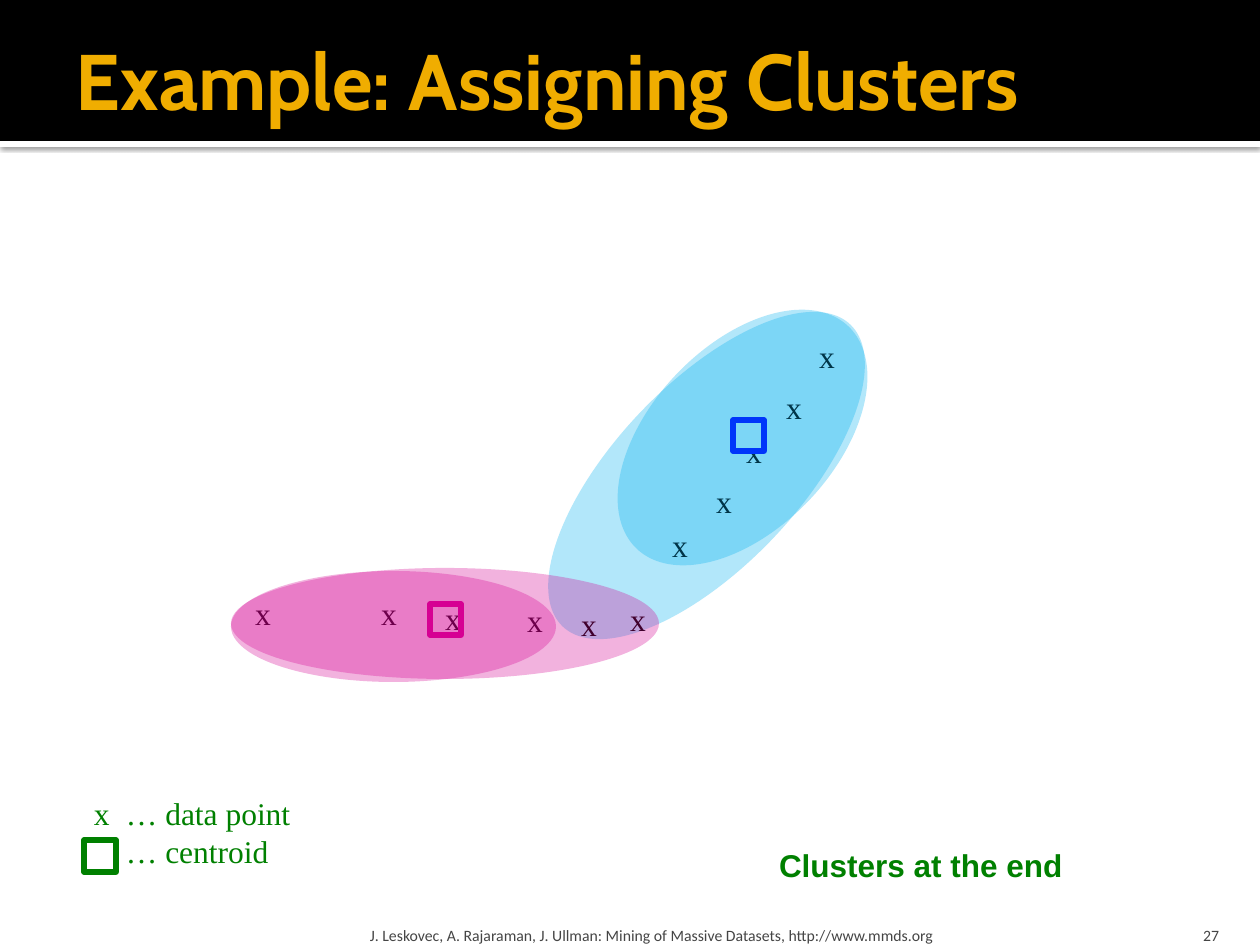
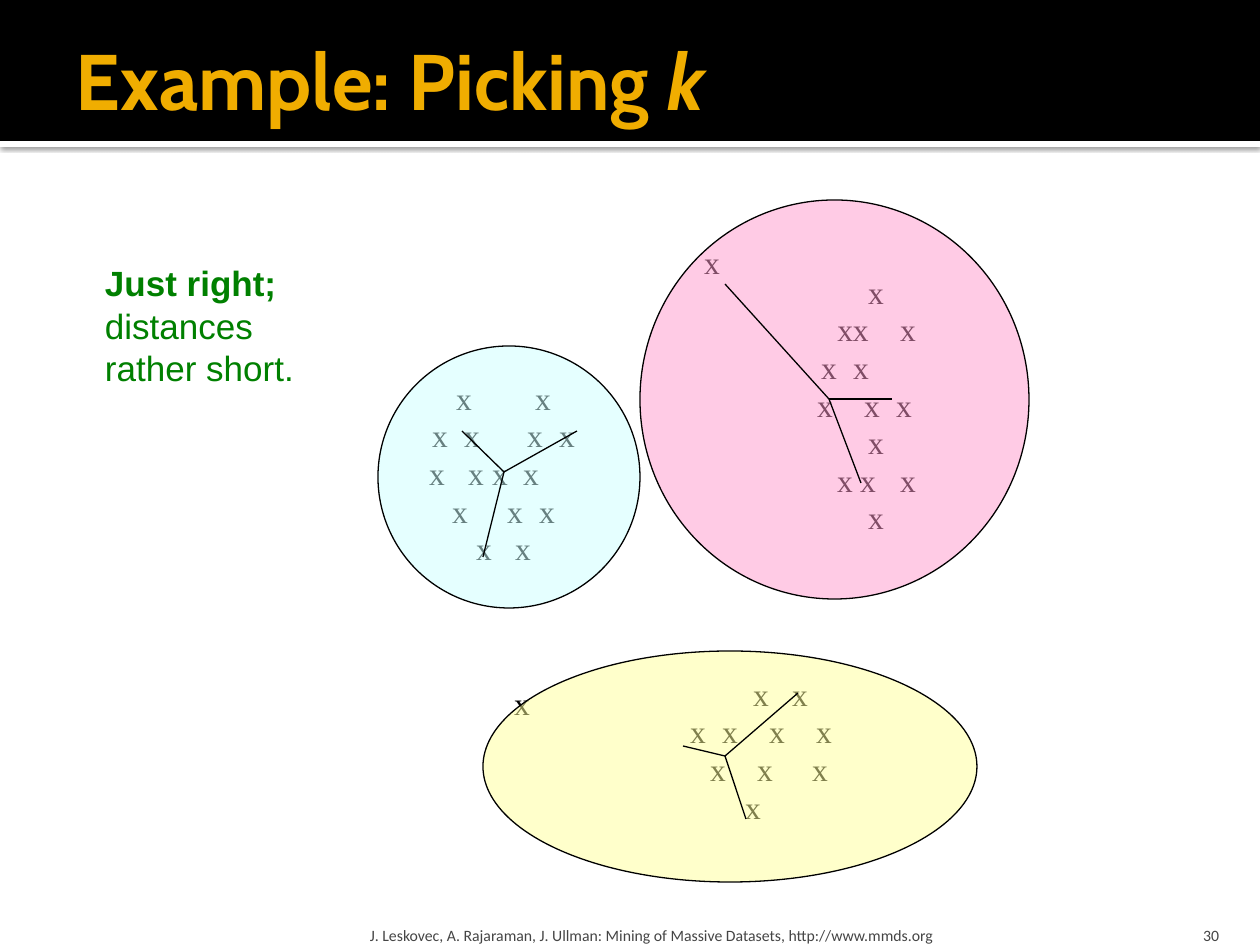
from collections import namedtuple

from lxml import etree
from pptx import Presentation
from pptx.dml.color import RGBColor
from pptx.enum.shapes import MSO_CONNECTOR as Connector, MSO_SHAPE as Preset
from pptx.enum.text import MSO_ANCHOR as Anchor, PP_ALIGN as Align
from pptx.oxml.ns import qn
from pptx.util import Pt

EMU_PER_PX = 914400 / 126
SLIDE_W, SLIDE_H = 1260, 945

BLACK, WHITE = "000000", "FFFFFF"
GOLD, GRAY, GREEN = "F0AD00", "454545", "008000"
BLUE, SKY, MAGENTA = "0000FF", "00B0F0", "D60093"
SERIF, SANS, TITLE_FONT, FOOTER_FONT = "Times New Roman", "Arial", "Cabin", "Calibri"

DEFAULT_INSETS = (13, 6, 13, 6)
NO_INSETS = (0, 0, 0, 0)
CITATION = "J. Leskovec, A. Rajaraman, J. Ullman: Mining of Massive Datasets, http://www.mmds.org"

Cluster = namedtuple("Cluster", "box color first_row rows outliers center spokes")


class Box(namedtuple("Box", "x y w h")):
    def inner(self, x, y, w, h):
        return Box(self.x + x, self.y + y, w, h)

    def emu(self):
        return [px(length) for length in self]


def px(length):
    return round(length * EMU_PER_PX)


def rgb(color):
    return RGBColor.from_string(color)


# Basic parts

def add_text(slide, box, text, font, size, color, bold=False, align=Align.LEFT,
             anchor=Anchor.TOP, insets=DEFAULT_INSETS, wrap=False):
    frame = slide.shapes.add_textbox(*box.emu()).text_frame
    frame.word_wrap = wrap
    frame.vertical_anchor = anchor
    (frame.margin_left, frame.margin_top,
     frame.margin_right, frame.margin_bottom) = map(px, insets)
    frame.text = text
    for paragraph in frame.paragraphs:
        paragraph.alignment = align
        for run in paragraph.runs:
            style_run(run, font, size, color, bold)
    return frame


def style_run(run, font, size, color, bold=False):
    run.font.name = font
    run.font.size = Pt(size)
    run.font.bold = bold
    run.font.color.rgb = rgb(color)


def space_lines(frame, points):
    for paragraph in frame.paragraphs:
        paragraph.line_spacing = Pt(points)


def set_tabs(paragraph, stops, kind):
    tabs = etree.SubElement(paragraph._p.get_or_add_pPr(), qn("a:tabLst"))
    for stop in stops:
        etree.SubElement(tabs, qn("a:tab"), pos=str(px(stop)), algn=kind)


def add_figure(slide, preset, box, fill=None, opacity=100, line=None, width=0.75):
    figure = slide.shapes.add_shape(preset, *box.emu())
    figure.shadow.inherit = False
    if fill:
        figure.fill.solid()
        figure.fill.fore_color.rgb = rgb(fill)
        if opacity < 100:
            tint = figure.fill._xPr.find(f"{qn('a:solidFill')}/{qn('a:srgbClr')}")
            etree.SubElement(tint, qn("a:alpha")).set("val", str(opacity * 1000))
    else:
        figure.fill.background()
    if line:
        figure.line.color.rgb = rgb(line)
        figure.line.width = Pt(width)
    else:
        figure.line.fill.background()
    return figure


def add_point(slide, x, y):
    """Mark a data point; the letter's middle sits just below its line's middle."""
    add_text(slide, Box(x - 20, y - 29, 42, 50), "x", SERIF, 18, BLACK,
             align=Align.CENTER, anchor=Anchor.MIDDLE, insets=NO_INSETS)


def add_centroid(slide, box, color):
    add_figure(slide, Preset.RECTANGLE, box, line=color, width=3)


def add_spoke(slide, start, end):
    spoke = slide.shapes.add_connector(
        Connector.STRAIGHT, *map(px, (*start, *end)))
    spoke.line.color.rgb = rgb(BLACK)
    spoke.line.width = Pt(0.75)
    etree.SubElement(spoke._element.spPr, qn("a:effectLst"))


# Shared frame: bands, title and footer

def add_band_shadow(band):
    effects = band._element.spPr.find(qn("a:effectLst"))
    shadow = etree.SubElement(effects, qn("a:outerShdw"), blurRad=str(Pt(2.5)),
                              dist=str(Pt(0.8)), dir="5400000", rotWithShape="0")
    color = etree.SubElement(shadow, qn("a:srgbClr"), val=BLACK)
    etree.SubElement(color, qn("a:alpha"), val="60000")


def add_header(slide, box, title, italic_tail):
    edge = add_figure(slide, Preset.RECTANGLE, box.inner(0, box.h, box.w, 6), WHITE)
    add_band_shadow(edge)
    add_figure(slide, Preset.RECTANGLE, box, BLACK)
    heading = add_text(slide, box.inner(63, 21, 1134, 116), title, TITLE_FONT, 45, GOLD,
                       bold=True, anchor=Anchor.MIDDLE, insets=(13, 6, 6, 6), wrap=True)
    if italic_tail:
        tail = heading.paragraphs[0].add_run()
        tail.text = italic_tail
        style_run(tail, TITLE_FONT, 45, GOLD, bold=True)
        tail.font.italic = True


def add_footer(slide, box, number):
    parts = [
        (364, 759, CITATION, Align.LEFT, 6),
        (1131, 101, str(number), Align.RIGHT, 13),
    ]
    for x, width, text, align, side in parts:
        add_text(slide, box.inner(x, 0, width, box.h), text, FOOTER_FONT, 9, GRAY,
                 align=align, anchor=Anchor.BOTTOM, insets=(side, 6, side, 0), wrap=True)


def new_slide(deck, title, number, italic_tail=""):
    slide = deck.slides.add_slide(deck.slide_layouts[6])
    add_header(slide, Box(0, 0, SLIDE_W, 141), title, italic_tail)
    add_footer(slide, Box(0, SLIDE_H - 38, SLIDE_W, 38), number)
    return slide


# Assigning clusters

def add_assignment(slide, box):
    def add_region(region, color, angle=0):
        ellipse = add_figure(slide, Preset.OVAL, box.inner(*region), color, 30)
        ellipse.rotation = angle

    points = [(32, 357), (158, 357), (222, 362), (304, 364), (358, 368), (407, 363),
              (449, 289), (493, 245), (523, 195), (563, 151), (596, 100)]
    tilt = 43.6

    add_region((385, 7, 183, 417), SKY, tilt)
    for x, y in points:
        add_point(slide, box.x + x, box.y + y)
    add_centroid(slide, box.inner(503, 160, 31, 31), BLUE)
    add_centroid(slide, box.inner(200, 344, 31, 31), MAGENTA)
    add_region((1, 311, 325, 111), MAGENTA)
    add_region((1, 308, 428, 111), MAGENTA)
    add_region((421, 24, 183, 307), SKY, tilt)


def add_legend(slide, box):
    labels = add_text(slide, box, "x\t… data point\n\t… centroid", SERIF, 18, GREEN)
    space_lines(labels, 21.6)
    for paragraph in labels.paragraphs:
        set_tabs(paragraph, [32], "l")
    add_centroid(slide, box.inner(3, 52, 32, 32), GREEN)


def build_assigning(deck):
    slide = new_slide(deck, "Example: Assigning Clusters", 27)
    add_assignment(slide, Box(230, 260, 640, 425))
    add_legend(slide, Box(81, 788, 240, 89))
    add_text(slide, Box(766, 840, 311, 50), "Clusters at the end", SANS, 18, GREEN, bold=True)


# Picking k: each row pairs its marks with their middles

ROW_SPACING = 21.5
CLUSTERS = [
    Cluster(Box(483, 651, 494, 231), "FFFF99", 47,
            [("x x", (278, 317)), ("x x x x", (215, 247, 294, 341)),
             ("x x x", (235, 282, 337)), ("x", (270,))],
            [(38, 56)], (242, 105), [(200, 95), (315, 42), (263, 168)]),
    Cluster(Box(378, 346, 262, 262), "CCFFFF", 56,
            [("x x", (86, 165)), ("x x x x", (62, 94, 157, 189)),
             ("x x x x", (59, 98, 122, 153)), ("x x x", (82, 137, 169)),
             ("x x", (106, 145))],
            [], (126, 126), [(84, 85), (199, 85), (105, 211)]),
    Cluster(Box(640, 200, 389, 399), "FF99CC", 96,
            [("x", (236,)), ("xx x", (213, 268)), ("x x", (189, 221)),
             ("x x x", (185, 232, 264)), ("x", (236,)), ("x x x", (205, 228, 268)),
             ("x", (236,))],
            [(71, 66)], (189, 199), [(85, 84), (252, 199), (221, 283)]),
]


def add_cluster(slide, cluster):
    box = cluster.box

    def place(point):
        return box.x + point[0], box.y + point[1]

    lines = ["\t" + "\t".join(marks.split()) for marks, _ in cluster.rows]
    top = cluster.first_row - 23
    grid = add_text(slide, box.inner(0, top, box.w, box.h - top), "\n".join(lines),
                    SERIF, 18, BLACK, insets=NO_INSETS, wrap=True)
    space_lines(grid, ROW_SPACING)
    for paragraph, (_, middles) in zip(grid.paragraphs, cluster.rows):
        set_tabs(paragraph, middles, "ctr")
    for point in cluster.outliers:
        add_point(slide, *place(point))
    add_figure(slide, Preset.OVAL, box, cluster.color, 50, line=BLACK)
    for end in cluster.spokes:
        add_spoke(slide, place(cluster.center), place(end))


def add_verdict(slide, box):
    verdict = add_text(slide, box, "Just right;\ndistances\nrather short.", SANS, 20, GREEN)
    verdict.paragraphs[0].runs[0].font.bold = True
    space_lines(verdict, 24)


def build_picking_k(deck):
    slide = new_slide(deck, "Example: Picking ", 30, italic_tail="k")
    for cluster in CLUSTERS:
        add_cluster(slide, cluster)
    add_verdict(slide, Box(92, 256, 240, 140))


def main():
    deck = Presentation()
    deck.slide_width, deck.slide_height = px(SLIDE_W), px(SLIDE_H)
    build_assigning(deck)
    build_picking_k(deck)
    deck.save("out.pptx")


if __name__ == "__main__":
    main()
